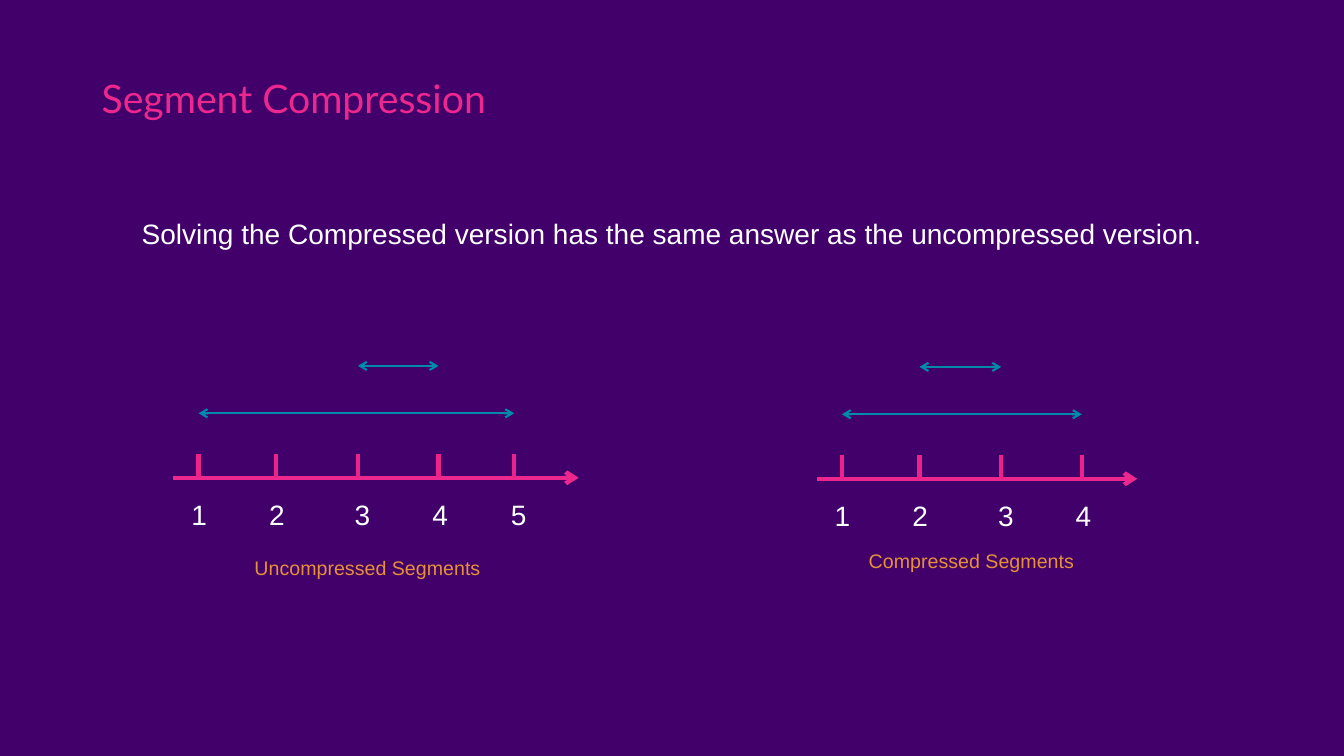
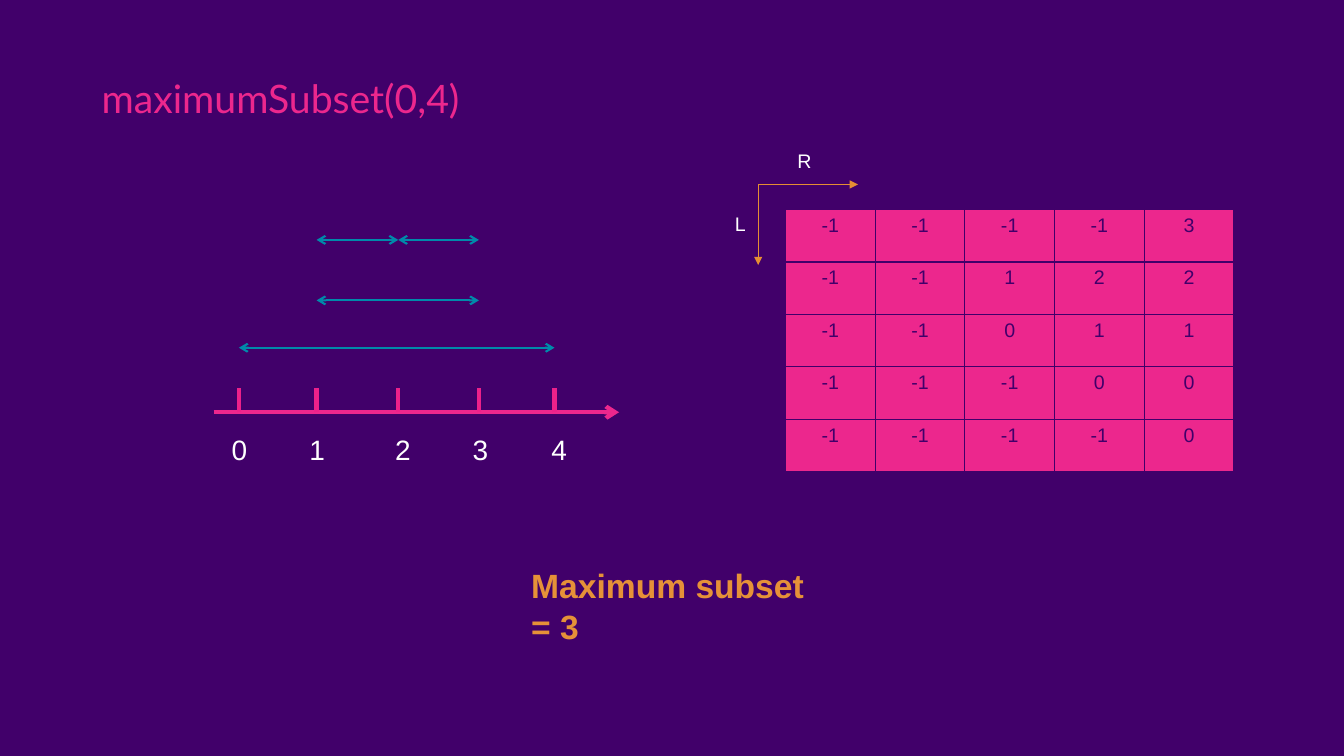
from lxml.etree import SubElement
from pptx import Presentation
from pptx.dml.color import RGBColor
from pptx.enum.shapes import MSO_CONNECTOR
from pptx.enum.text import PP_ALIGN
from pptx.oxml.ns import qn
from pptx.util import Inches, Pt

PURPLE, PINK, TICK_PINK = "41006A", "EC278D", "EC218A"
TEAL, ORANGE, AXIS_ORANGE, WHITE = "008AAA", "E69138", "E58E33", "FFFFFF"

TICK_OFFSETS = (0, 0.77, 1.58, 2.38, 3.13)
LABEL_OFFSETS = (0, 0.77, 1.62, 2.39, 3.17)
LABEL_INSET = 0.1

SUBSET_SIZES = [
    [-1, -1, -1, -1, 3],
    [-1, -1, 1, 2, 2],
    [-1, -1, 0, 1, 1],
    [-1, -1, -1, 0, 0],
    [-1, -1, -1, -1, 0],
]


def color(hex_string):
    return RGBColor.from_string(hex_string)


class Deck:
    def __init__(self):
        self.prs = Presentation()
        self.prs.slide_width, self.prs.slide_height = Inches(13.33), Inches(7.5)
        self.slide = self.shapes = None

    def new_slide(self, title):
        self.slide = self.prs.slides.add_slide(self.prs.slide_layouts[6])
        self.shapes = self.slide.shapes
        background = self.slide.background.fill
        background.solid()
        background.fore_color.rgb = color(PURPLE)
        self.text(title, 0.91, 0.64, 11.32, 0.84, 28, PINK, font="Lato", inset=0.1)

    def add_run(self, paragraph, words, size, ink, font="Arial", bold=False):
        run = paragraph.add_run()
        run.text = words
        run.font.size, run.font.name, run.font.bold = Pt(size), font, bold
        run.font.color.rgb = color(ink)

    def text(self, words, left, top, width, height, size, ink, font="Arial",
             bold=False, align=PP_ALIGN.LEFT, inset=0.05):
        box = self.shapes.add_textbox(
            Inches(left), Inches(top), Inches(width), Inches(height))
        frame = box.text_frame
        frame.word_wrap = True
        frame.margin_top = frame.margin_bottom = Inches(inset)
        paragraph = frame.paragraphs[0]
        paragraph.alignment = align
        self.add_run(paragraph, words, size, ink, font, bold)
        return paragraph

    def line(self, x1, y1, x2, y2, ink, weight, head=None, tail=None):
        """Draw a line; head and tail are arrowheads at its start and end."""
        connector = self.shapes.add_connector(
            MSO_CONNECTOR.STRAIGHT, Inches(x1), Inches(y1), Inches(x2), Inches(y2))
        connector.line.width = Pt(weight)
        connector.line.color.rgb = color(ink)
        properties = connector._element.spPr
        outline = properties.find(qn("a:ln"))
        for tag, kind in (("a:headEnd", head), ("a:tailEnd", tail)):
            if kind:
                SubElement(outline, qn(tag), type=kind)
        SubElement(properties, qn("a:effectLst"))

    def number_line(self, left, top, length, first, count, segments):
        """Draw a grouped axis; a segment is (start tick, end tick, rise)."""
        self.shapes = self.slide.shapes.add_group_shape().shapes
        ticks = [left + 0.25 + offset for offset in TICK_OFFSETS[:count]]
        self.line(left, top, left + length, top, PINK, 3, tail="arrow")
        self.tick_labels(left + 0.08, top + 0.15, range(first, first + count))
        for x in ticks:
            self.line(x, top, x, top - 0.24, TICK_PINK, 3)
        for start, end, rise in segments:
            self.line(ticks[start], top - rise, ticks[end], top - rise,
                      TEAL, 1.5, head="arrow", tail="arrow")
        self.shapes = self.slide.shapes

    def tick_labels(self, left, top, numbers):
        """Write the numbers in one line, spaced by tab stops."""
        offsets = LABEL_OFFSETS[:len(numbers)]
        paragraph = self.text("\t".join(map(str, numbers)), left, top,
                              offsets[-1] + 2 * LABEL_INSET + 0.3, 0.44, 20, WHITE)
        stops = SubElement(paragraph._p.get_or_add_pPr(), qn("a:tabLst"))
        for offset in offsets[1:]:
            SubElement(stops, qn("a:tab"), pos=str(Inches(offset)), algn="l")

    def table(self, values, left, top, column_width, row_height):
        rows, columns = len(values), len(values[0])
        grid = self.shapes.add_table(
            rows, columns, Inches(left), Inches(top),
            Inches(column_width * columns), Inches(row_height * rows)).table
        grid.first_row = grid.horz_banding = False
        for column in grid.columns:
            column.width = Inches(column_width)
        for row, numbers in zip(grid.rows, values):
            row.height = Inches(row_height)
            for cell, number in zip(row.cells, numbers):
                self.border(cell)
                cell.fill.solid()
                cell.fill.fore_color.rgb = color(PINK)
                paragraph = cell.text_frame.paragraphs[0]
                paragraph.alignment = PP_ALIGN.CENTER
                self.add_run(paragraph, str(number), 14, PURPLE)

    def border(self, cell):
        properties = cell._tc.get_or_add_tcPr()
        for side in ("a:lnL", "a:lnR", "a:lnT", "a:lnB"):
            edge = SubElement(properties, qn(side), w=str(Pt(1)))
            SubElement(SubElement(edge, qn("a:solidFill")), qn("a:srgbClr"), val=PURPLE)


def segment_compression(deck):
    deck.new_slide("Segment Compression")
    deck.number_line(1.72, 4.74, 4.02, 1, 5, [(0, 4, 0.64), (2, 3, 1.11)])
    deck.text("Uncompressed Segments", 2.42, 5.47, 2.45, 0.34, 14, ORANGE,
              align=PP_ALIGN.CENTER)
    deck.number_line(8.1, 4.75, 3.18, 1, 4, [(0, 3, 0.64), (1, 2, 1.11)])
    deck.text("Compressed Segments", 8.46, 5.4, 2.35, 0.34, 14, ORANGE,
              align=PP_ALIGN.CENTER)
    deck.text("Solving the Compressed version has the same answer as the "
              "uncompressed version.", 0.96, 2.05, 11.41, 0.56, 20, WHITE,
              align=PP_ALIGN.CENTER, inset=0.1)


def maximum_subset(deck):
    deck.new_slide("maximumSubset(0,4)")
    deck.table(SUBSET_SIZES, 7.79, 2.08, 0.89, 0.52)
    deck.number_line(2.12, 4.09, 4.02, 0, 5,
                     [(0, 4, 0.64), (1, 3, 1.11), (1, 2, 1.71), (2, 3, 1.71)])
    corner_x, corner_y = 7.52, 1.83
    for end_x, end_y in ((8.51, corner_y), (corner_x, 2.63)):
        deck.line(corner_x, corner_y, end_x, end_y, AXIS_ORANGE, 0.75, tail="triangle")
    deck.text("R", 7.81, 1.43, 0.4, 0.34, 14, WHITE)
    deck.text("L", 7.19, 2.05, 0.4, 0.34, 14, WHITE)
    deck.text("Maximum subset = 3", 5.17, 5.56, 3.11, 0.9, 24, ORANGE, bold=True)


def main():
    deck = Deck()
    segment_compression(deck)
    maximum_subset(deck)
    deck.prs.save("out.pptx")


if __name__ == "__main__":
    main()
